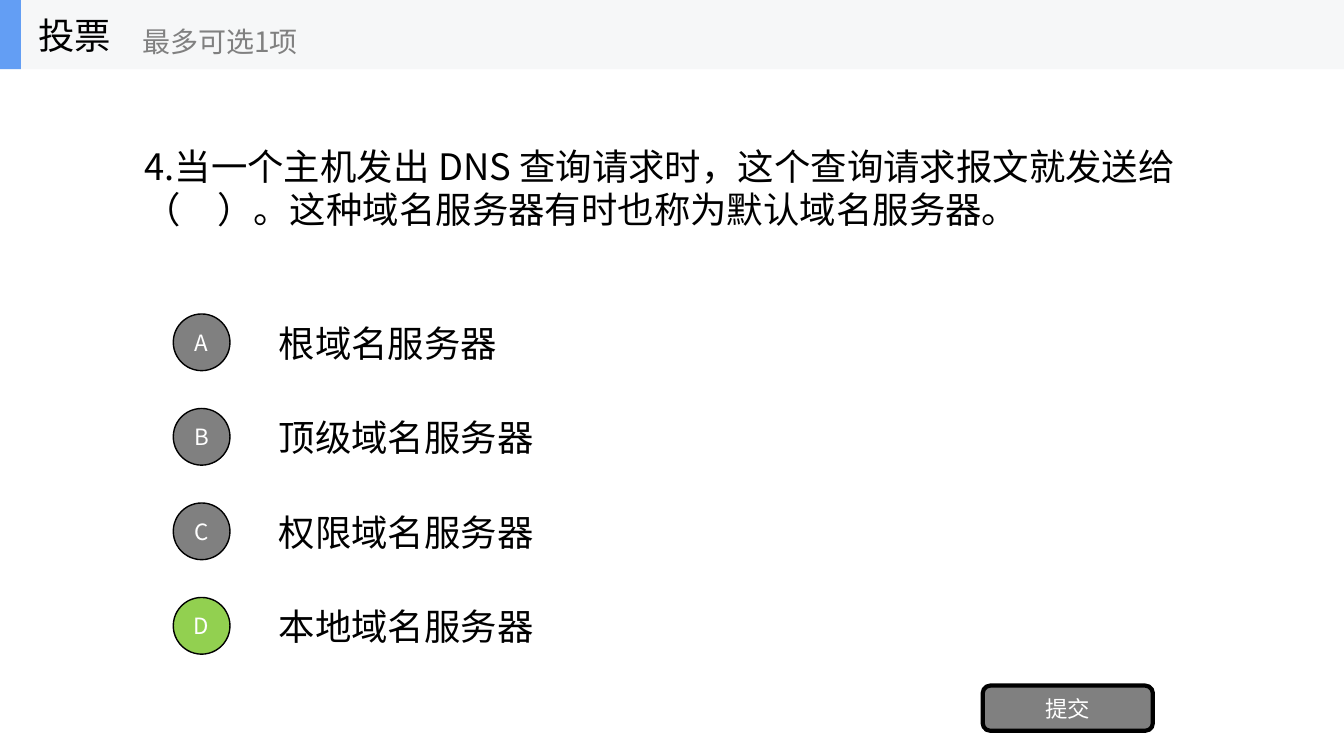
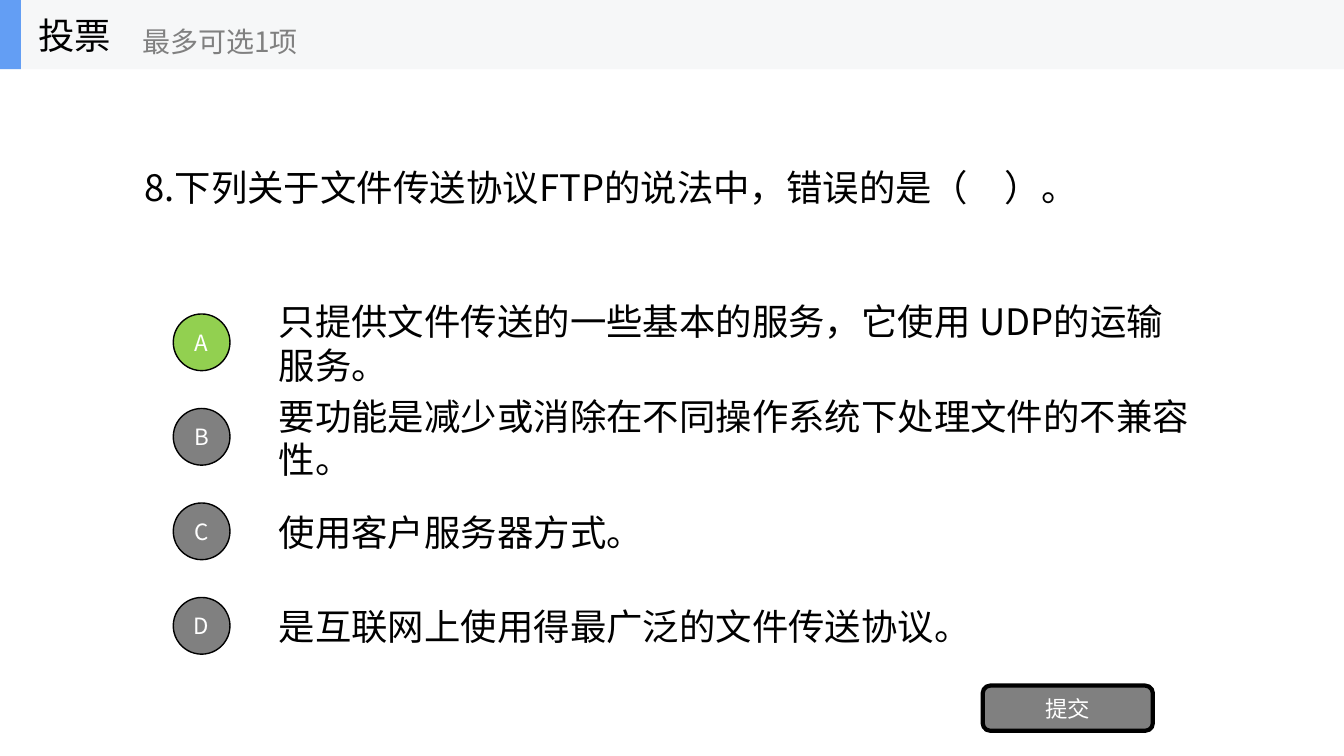
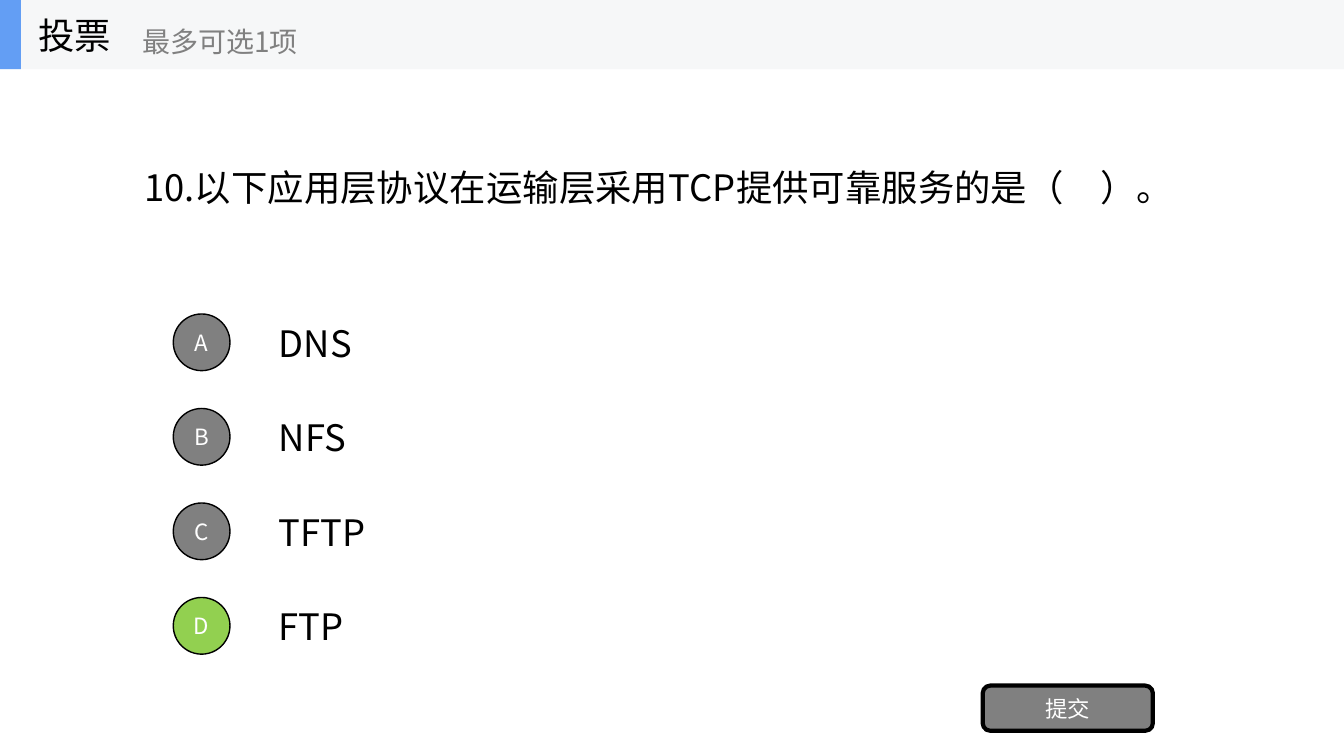
from dataclasses import dataclass

from lxml import etree
from pptx import Presentation
from pptx.dml.color import RGBColor
from pptx.enum.shapes import MSO_SHAPE
from pptx.enum.text import MSO_ANCHOR, PP_ALIGN
from pptx.oxml.ns import qn
from pptx.util import Emu, Pt

RECT, OVAL, ROUND = MSO_SHAPE.RECTANGLE, MSO_SHAPE.OVAL, MSO_SHAPE.ROUNDED_RECTANGLE
LEFT, CENTER, MIDDLE = PP_ALIGN.LEFT, PP_ALIGN.CENTER, MSO_ANCHOR.MIDDLE

BLACK = RGBColor(0x00, 0x00, 0x00)
WHITE = RGBColor(0xFF, 0xFF, 0xFF)
GRAY = RGBColor(0x80, 0x80, 0x80)
GREEN = RGBColor(0x92, 0xD0, 0x50)
BLUE = RGBColor(0x63, 0x9E, 0xF4)
PALE = RGBColor(0xF6, 0xF7, 0xF8)

FONT = "Noto Sans CJK SC"
EMU_PER_PX = 9525
WIDTH, HEIGHT = 1280, 720
BAND = 66
ROW_TOP, ROW_STEP, ROW_HEIGHT = 293, 90, 67
DISC, DISC_INSET = 54, 6


@dataclass(frozen=True)
class Box:
    left: int
    top: int
    width: int
    height: int

    def emu(self) -> tuple[Emu, ...]:
        sides = (self.left, self.top, self.width, self.height)
        return tuple(Emu(side * EMU_PER_PX) for side in sides)


@dataclass(frozen=True)
class Style:
    size: int
    color: RGBColor
    align: PP_ALIGN = LEFT
    wrap: bool = True


@dataclass(frozen=True)
class Poll:
    question: str
    options: tuple[str, ...]
    answer: str


BODY = Style(26, BLACK)
TITLE = Style(26, BLACK, wrap=False)
HINT = Style(20, GRAY, wrap=False)
LABEL = Style(16, WHITE, CENTER)

POLLS = (
    Poll(
        "4.当一个主机发出 DNS 查询请求时，这个查询请求报文就发送给（　）。这种域名服务器有时也称为默认域名服务器。",
        ("根域名服务器", "顶级域名服务器", "权限域名服务器", "本地域名服务器"),
        "D",
    ),
    Poll(
        "8.下列关于文件传送协议FTP的说法中，错误的是（　）。",
        (
            "只提供文件传送的一些基本的服务，它使用 UDP的运输服务。",
            "要功能是减少或消除在不同操作系统下处理文件的不兼容性。",
            "使用客户服务器方式。",
            "是互联网上使用得最广泛的文件传送协议。",
        ),
        "A",
    ),
    Poll(
        "10.以下应用层协议在运输层采用TCP提供可靠服务的是（　）。",
        ("DNS", "NFS", "TFTP", "FTP"),
        "D",
    ),
)


def write(shape, text: str, style: Style) -> None:
    frame = shape.text_frame
    for name, value in {"word_wrap": style.wrap, "vertical_anchor": MIDDLE}.items():
        setattr(frame, name, value)
    line = frame.paragraphs[0]
    line.alignment = style.align
    run = line.add_run()
    run.text = text
    for name, value in {"size": Pt(style.size), "name": FONT}.items():
        setattr(run.font, name, value)
    run.font.color.rgb = style.color
    # East Asian glyphs take their typeface from a separate element.
    etree.SubElement(run.font._element, qn("a:ea"), typeface=FONT)


def add_text(shapes, box: Box, text: str, style: Style) -> None:
    write(shapes.add_textbox(*box.emu()), text, style)


def add_block(shapes, kind: MSO_SHAPE, box: Box, fill: RGBColor,
              border: int = 0, text: str = "") -> None:
    """Draw a filled shape, with a black border and a label if given."""
    shape = shapes.add_shape(kind, *box.emu())
    shape.shadow.inherit = False
    shape.fill.solid()
    shape.fill.fore_color.rgb = fill
    if border:
        shape.line.color.rgb = BLACK
        shape.line.width = Pt(border)
    else:
        shape.line.fill.background()
    if text:
        write(shape, text, LABEL)


def add_header(slide) -> None:
    shapes = slide.shapes.add_group_shape().shapes
    add_block(shapes, RECT, Box(0, 0, WIDTH, BAND), PALE)
    add_block(shapes, RECT, Box(0, 0, 20, BAND), BLUE)
    add_text(shapes, Box(27, 0, 200, BAND), "投票", TITLE)
    add_text(shapes, Box(126, 12, 240, 54), "最多可选1项", HINT)


def add_poll(deck, poll: Poll) -> None:
    slide = deck.slides.add_slide(deck.slide_layouts[6])
    shapes = slide.shapes
    add_text(shapes, Box(128, BAND, 1024, 225), poll.question, BODY)
    for row, (letter, option) in enumerate(zip("ABCD", poll.options)):
        top = ROW_TOP + row * ROW_STEP
        add_text(shapes, Box(256, top, 896, ROW_HEIGHT), option, BODY)
        fill = GREEN if letter == poll.answer else GRAY
        add_block(shapes, OVAL, Box(165, top + DISC_INSET, DISC, DISC), fill, 1, letter)
    add_block(shapes, ROUND, Box(936, 653, 162, 43), GRAY, 3, "提交")
    add_header(slide)


def main() -> None:
    deck = Presentation()
    deck.slide_width, deck.slide_height = Box(0, 0, WIDTH, HEIGHT).emu()[2:]
    for poll in POLLS:
        add_poll(deck, poll)
    deck.save("out.pptx")


if __name__ == "__main__":
    main()
